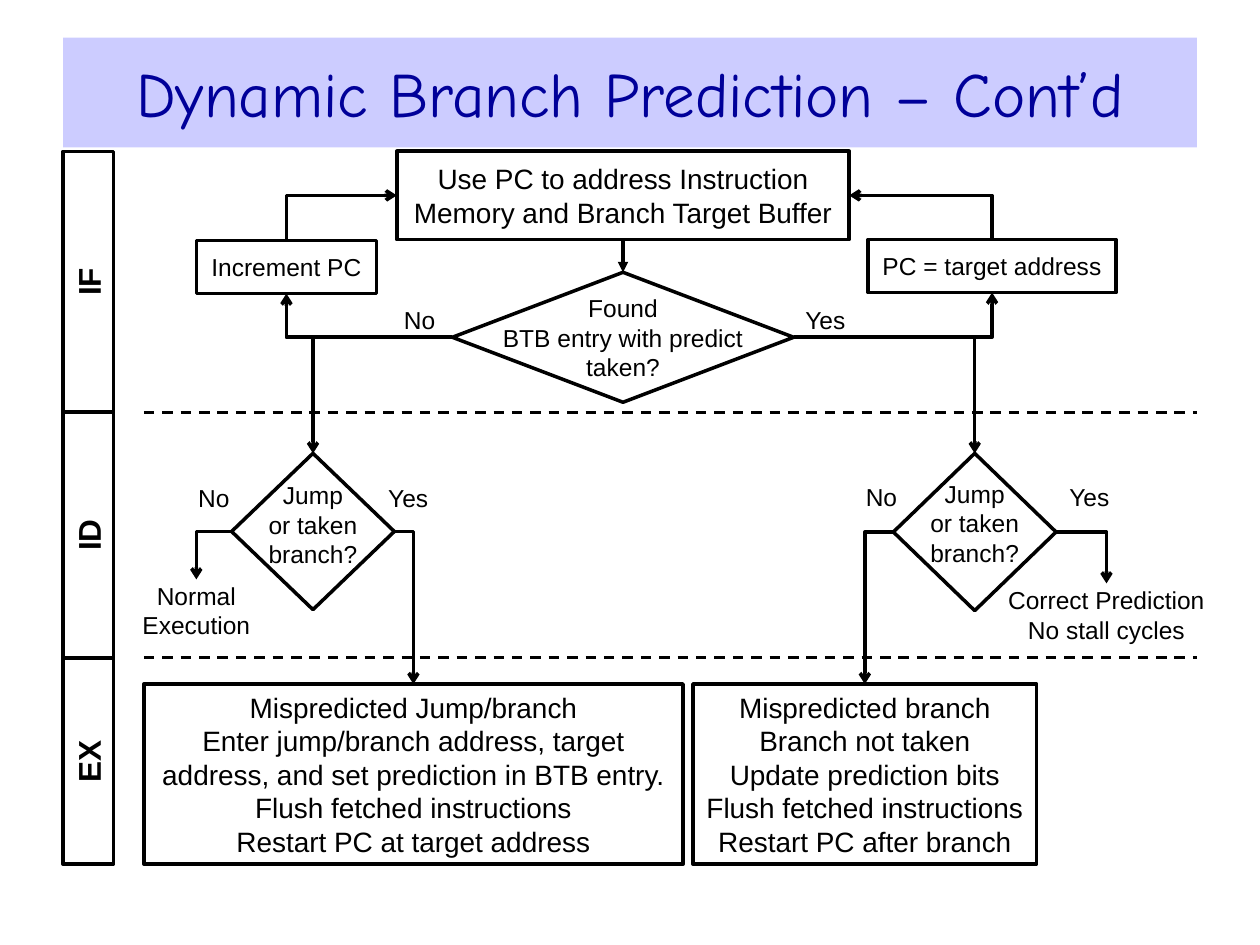
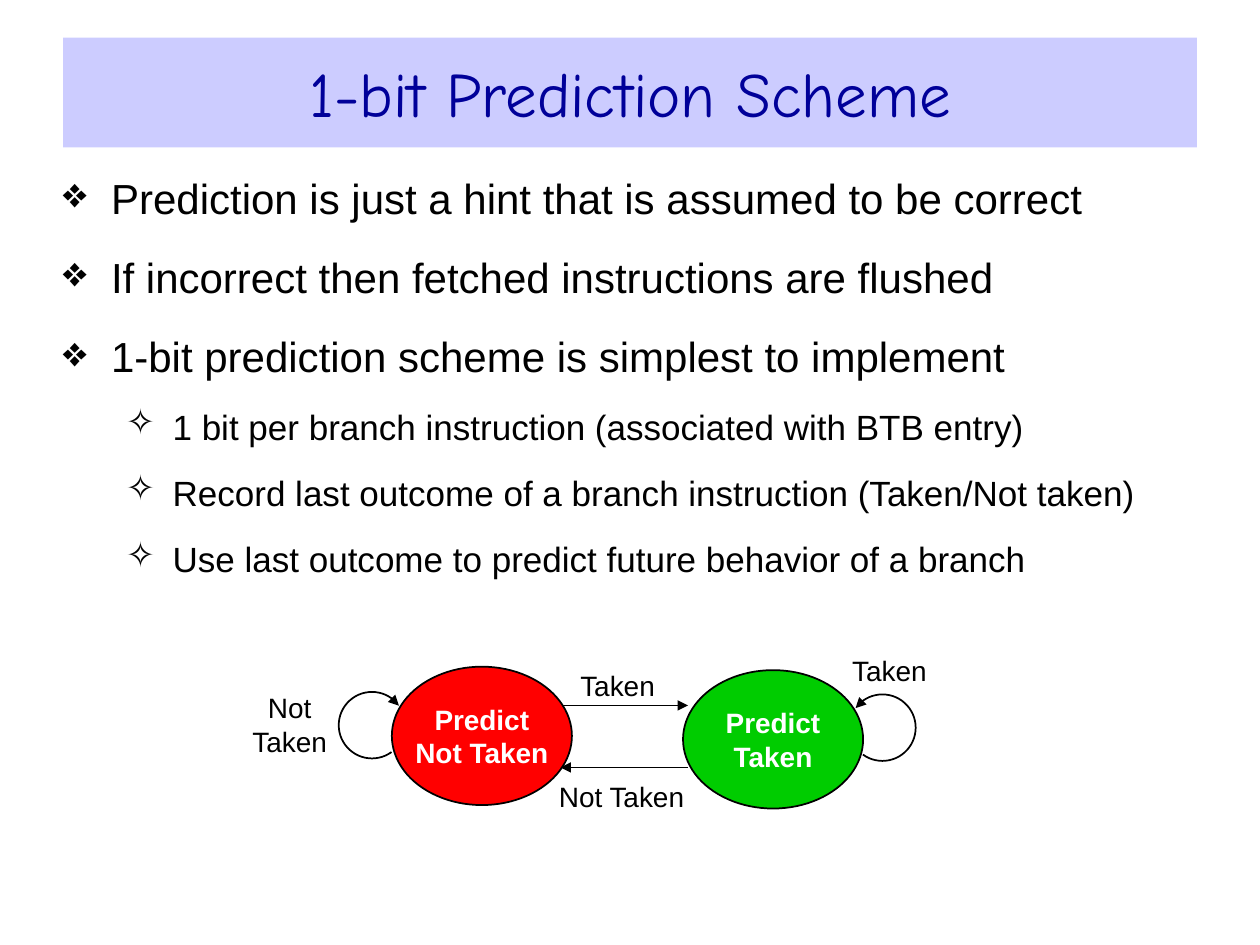
import math

from lxml import etree
from pptx import Presentation
from pptx.dml.color import RGBColor
from pptx.enum import dml, shapes, text
from pptx.oxml import ns
from pptx.util import Cm, Pt

BLACK = RGBColor(0x00, 0x00, 0x00)
WHITE = RGBColor(0xFF, 0xFF, 0xFF)
BAND = RGBColor(0xCC, 0xCC, 0xFF)
NAVY = RGBColor(0x00, 0x00, 0x99)
RED = RGBColor(0xFF, 0x00, 0x00)
GREEN = RGBColor(0x00, 0xCC, 0x00)

BODY_FONT = "Arial"
TITLE_FONT = "Comic Neue"
TOP, LEFT, BOTTOM, RIGHT = range(4)  # connection sites of boxes and diamonds
SHAPE = shapes.MSO_SHAPE


class SlideBuilder:
    def __init__(self, deck):
        self.deck = deck
        self.page = None

    def start(self, title):
        """Add a title-only page with the coloured title band."""
        self.page = self.deck.slides.add_slide(self.deck.slide_layouts[5])
        box = self.page.shapes.title
        box.left, box.top, box.width, box.height = Cm(1.27), Cm(0.76), Cm(22.86), Cm(2.21)
        box.fill.solid()
        box.fill.fore_color.rgb = BAND
        self.set_text(box, title, 36, NAVY, font=TITLE_FONT, inset=0.13)

    def style(self, para, size, color=BLACK, bold=False, font=BODY_FONT):
        for span in para.runs:
            span.font.name = font
            span.font.size = Pt(size)
            span.font.bold = bold
            span.font.color.rgb = color

    def set_text(self, box, words, size, color=BLACK, bold=False, font=BODY_FONT,
                 wrap=True, inset=0):
        """Put centred text, one paragraph a line, in a shape."""
        frame = box.text_frame
        frame.text = words
        frame.word_wrap = wrap
        frame.auto_size = text.MSO_AUTO_SIZE.NONE
        frame.vertical_anchor = text.MSO_ANCHOR.MIDDLE
        frame.margin_left = frame.margin_right = Cm(inset)
        frame.margin_top = frame.margin_bottom = 0
        for para in frame.paragraphs:
            para.alignment = text.PP_ALIGN.CENTER
            self.style(para, size, color, bold, font)

    def label(self, words, left, top, width, height, size=14):
        box = self.page.shapes.add_textbox(Cm(left), Cm(top), Cm(width), Cm(height))
        self.set_text(box, words, size, wrap=False)
        return box

    def outline(self, box, weight):
        box.shadow.inherit = False
        box.line.color.rgb = BLACK
        box.line.width = Pt(weight)

    def shape(self, kind, left, top, width, height, fill=None, weight=2):
        box = self.page.shapes.add_shape(kind, Cm(left), Cm(top), Cm(width), Cm(height))
        self.outline(box, weight)
        if fill is None:
            box.fill.background()
        else:
            box.fill.solid()
            box.fill.fore_color.rgb = fill
        return box

    def process(self, words, left, top, width, height, size=14, inset=0):
        box = self.shape(SHAPE.FLOWCHART_PROCESS, left, top, width, height)
        self.set_text(box, words, size, inset=inset)
        return box

    def decision(self, words, left, top, width, height, lift):
        """Add a diamond whose text sits a little above its middle."""
        diamond = self.shape(SHAPE.FLOWCHART_DECISION, left, top, width, height)
        self.label(words, left, top - lift, width, height)
        return diamond

    def stage(self, name, top, bottom):
        """Add a vertical stage label, read from bottom to top."""
        length, depth, left = bottom - top, 1.02, 1.27
        box = self.shape(SHAPE.RECTANGLE, left + (depth - length) / 2,
                         top + (length - depth) / 2, length, depth)
        box.rotation = 270
        self.set_text(box, name, 18, bold=True)

    def state(self, words, left, top, fill):
        box = self.shape(SHAPE.OVAL, left, top, 3.63, 2.79, fill, weight=1)
        self.set_text(box, words, 16, WHITE, bold=True, wrap=False)

    def arrowhead(self, line, end, kind):
        etree.SubElement(line.line._get_or_add_ln(), ns.qn("a:" + end), type=kind)

    def line(self, x1, y1, x2, y2, weight=2, head=None):
        wire = self.page.shapes.add_connector(
            shapes.MSO_CONNECTOR.STRAIGHT, Cm(x1), Cm(y1), Cm(x2), Cm(y2))
        wire.line.color.rgb = BLACK
        wire.line.width = Pt(weight)
        if head:
            self.arrowhead(wire, "tailEnd", head)
        etree.SubElement(wire._element.spPr, ns.qn("a:effectLst"))
        return wire

    def link(self, start, start_site, end, end_site, head_end="tailEnd",
             geometry="bentConnector2", head="arrow"):
        """Glue a connector to two shapes; a bent one leaves start sideways."""
        wire = self.line(0, 0, 1, 1)
        wire.begin_connect(start, start_site)
        wire.end_connect(end, end_site)
        wire._element.spPr.find(ns.qn("a:prstGeom")).set("prst", geometry)
        self.arrowhead(wire, head_end, head)

    def self_loop(self, x, y, side):
        """Draw a 270 degree arrow round (x, y), open towards its state."""
        radius = 0.67
        angles = [math.radians(126 - step) for step in range(0, 271, 6)]
        points = [(Cm(x + side * radius * math.cos(a)), Cm(y + radius * math.sin(a)))
                  for a in angles]
        pen = self.page.shapes.build_freeform(*points[0])
        pen.add_line_segments(points[1:], close=False)
        loop = pen.convert_to_shape()
        loop.fill.background()
        self.outline(loop, 1)
        self.arrowhead(loop, "tailEnd", "triangle")

    def bullets(self, items):
        """Add bulleted text from (level, words) pairs."""
        looks = [("❖", 0.97, 0.97, 24, 16.5), ("✧", 2.21, 0.94, 20, 13.8)]
        box = self.page.shapes.add_textbox(Cm(1.27), Cm(3.35), Cm(22.86), Cm(8.94))
        frame = box.text_frame
        frame.word_wrap = True
        frame.margin_left = frame.margin_right = 0
        frame.text = "\n".join(words for _, words in items)
        for index, (para, (level, _)) in enumerate(zip(frame.paragraphs, items)):
            mark, indent, hang, size, gap = looks[level]
            para.level = level
            if index:
                para.space_before = Pt(gap)
            props = para._p.get_or_add_pPr()
            props.set("marL", str(Cm(indent)))
            props.set("indent", str(-Cm(hang)))
            etree.SubElement(props, ns.qn("a:buChar"), char=mark)
            self.style(para, size)


def flowchart_slide(make):
    make.start("Dynamic Branch Prediction – Cont’d")
    edges = [3.05, 8.31, 13.26, 17.42]
    for name, top, bottom in zip(("IF", "ID", "EX"), edges, edges[1:]):
        make.stage(name, top, bottom)
    for y in edges[1:3]:
        make.line(2.9, y, 24.13, y, 1.5).line.dash_style = dml.MSO_LINE.DASH

    fetch = make.process("Use PC to address Instruction Memory and Branch Target Buffer",
                         8, 3.05, 9.12, 1.78, 16)
    increment = make.process("Increment PC", 3.96, 4.85, 3.63, 1.07)
    target = make.process("PC = target address", 17.5, 4.83, 5, 1.07)
    found = make.decision("Found\nBTB entry with predict\ntaken?", 9.12, 5.49, 6.88, 2.62, 0)
    question = "Jump\nor taken\nbranch?"
    not_predicted = make.decision(question, 4.67, 9.14, 3.28, 3.15, 0.14)
    predicted = make.decision(question, 18.01, 9.14, 3.28, 3.17, 0.18)
    normal = make.label("Normal\nExecution", 2.69, 11.68, 2.54, 1.24)
    correct = make.label("Correct Prediction\nNo stall cycles", 20.17, 11.76, 4.27, 1.27)
    missed_jump = make.process(
        "Mispredicted Jump/branch\n"
        "Enter jump/branch address, target address, and set prediction in BTB entry.\n"
        "Flush fetched instructions\nRestart PC at target address",
        2.9, 13.79, 10.87, 3.63, 16, 0.13)
    missed_branch = make.process(
        "Mispredicted branch\nBranch not taken\nUpdate prediction bits\n"
        "Flush fetched instructions\nRestart PC after branch",
        13.97, 13.79, 6.93, 3.63, 16)

    make.link(fetch, BOTTOM, found, TOP, geometry="line", head="triangle")
    for side, next_pc, check in ((LEFT, increment, not_predicted),
                                 (RIGHT, target, predicted)):
        make.link(fetch, side, next_pc, TOP, "headEnd")
        make.link(found, side, next_pc, BOTTOM)
        x = (check.left + check.width / 2) / Cm(1)
        make.line(x, 6.81, x, 9.14, head="arrow")
    for check, side, result in ((not_predicted, LEFT, normal),
                                (not_predicted, RIGHT, missed_jump),
                                (predicted, LEFT, missed_branch),
                                (predicted, RIGHT, correct)):
        make.link(check, side, result, TOP)

    for words, left, top, width in (
            ("No", 7.8, 6.1, 1.32), ("Yes", 16.21, 6.1, 0.86),
            ("No", 3.94, 9.68, 0.74), ("Yes", 7.8, 9.68, 0.86),
            ("No", 17.4, 9.65, 0.74), ("Yes", 21.44, 9.65, 1.04)):
        make.label(words, left, top, width, 0.71)


def scheme_slide(make):
    make.start("1-bit Prediction Scheme")
    make.bullets([
        (0, "Prediction is just a hint that is assumed to be correct"),
        (0, "If incorrect then fetched instructions are flushed"),
        (0, "1-bit prediction scheme is simplest to implement"),
        (1, "1 bit per branch instruction (associated with BTB entry)"),
        (1, "Record last outcome of a branch instruction (Taken/Not taken)"),
        (1, "Use last outcome to predict future behavior of a branch"),
    ])
    make.line(11.3, 14.22, 13.87, 14.22, 1, "triangle")
    make.state("Predict\nNot Taken", 7.9, 13.44, RED)
    make.line(13.87, 15.47, 11.3, 15.47, 1, "triangle")
    make.state("Predict\nTaken", 13.77, 13.51, GREEN)
    make.self_loop(7.5, 14.62, -1)
    make.self_loop(17.79, 14.67, 1)
    make.label("Not\nTaken", 4.9, 13.87, 1.88, 1.47, 16)
    make.label("Taken", 11.51, 13.44, 1.88, 0.74, 16)
    make.label("Not Taken", 10.97, 15.54, 3.12, 1.02, 16)
    make.label("Taken", 16.99, 13, 1.88, 1.02, 16)


def main():
    deck = Presentation()
    deck.slide_width, deck.slide_height = Cm(25.4), Cm(19.05)
    make = SlideBuilder(deck)
    flowchart_slide(make)
    scheme_slide(make)
    deck.save("out.pptx")


if __name__ == "__main__":
    main()
